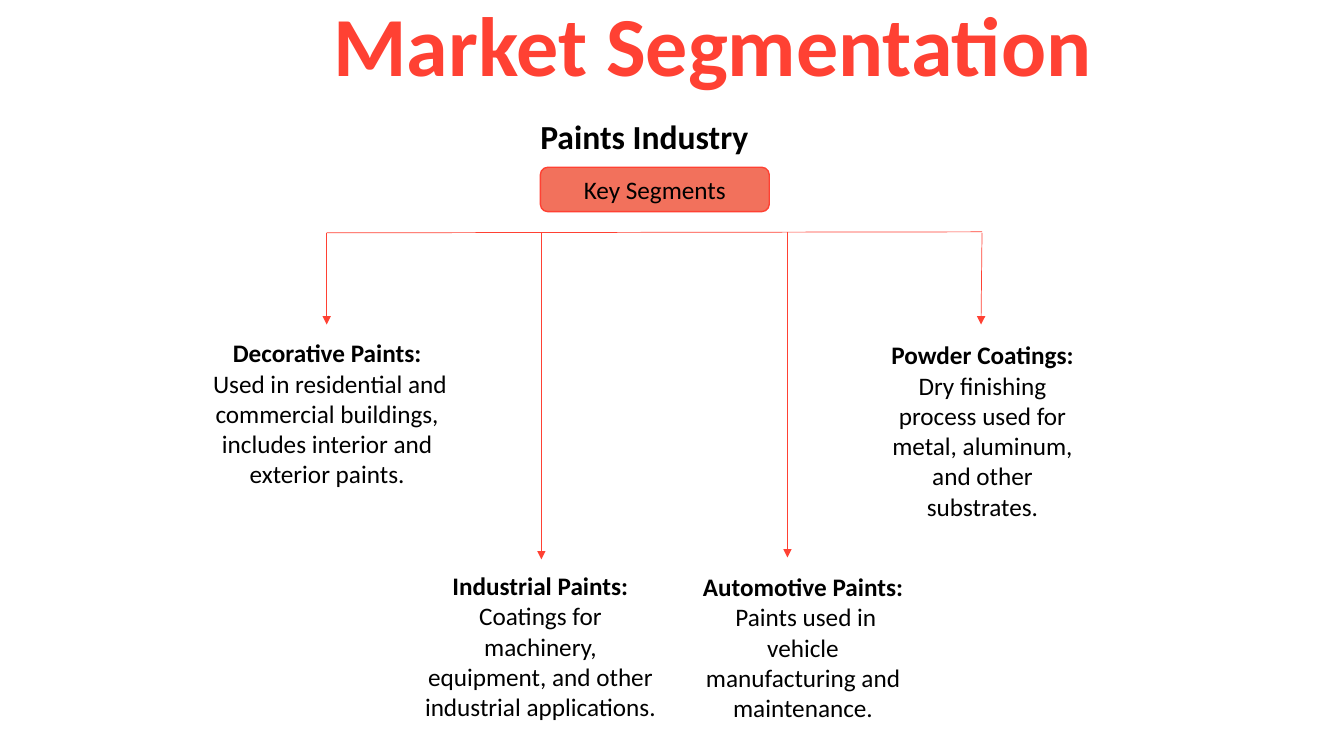
from lxml import etree
from pptx import Presentation
from pptx import util as u
from pptx.dml.color import RGBColor
from pptx.enum import shapes, text
from pptx.oxml import ns

RED = RGBColor(0xFF, 0x41, 0x33)
CORAL = RGBColor(0xF2, 0x71, 0x5C)
BLACK = RGBColor(0, 0, 0)
PX = 9144


class Board:
    font = "Calibri"

    def __init__(self, deck):
        self.slide = deck.slides.add_slide(deck.slide_layouts[6])

    def typeset(self, frame, paras, size, color=BLACK, align=text.PP_ALIGN.LEFT,
                anchor=text.MSO_ANCHOR.TOP, space=None):
        frame.word_wrap = True
        frame.vertical_anchor = anchor
        for i, runs in enumerate(paras):
            para = frame.add_paragraph() if i else frame.paragraphs[0]
            para.alignment = align
            para.line_spacing = space
            for words, bold in runs:
                run = para.add_run()
                run.text = words
                run.font.name = self.font
                run.font.size = u.Pt(size)
                run.font.bold = bold
                run.font.color.rgb = color

    def label(self, box, paras, size, **style):
        area = self.slide.shapes.add_textbox(*(n * PX for n in box))
        self.typeset(area.text_frame, paras, size, **style)

    def badge(self, box, words, size):
        shape = self.slide.shapes.add_shape(
            shapes.MSO_SHAPE.ROUNDED_RECTANGLE, *(n * PX for n in box))
        shape.shadow.inherit = False
        shape.fill.solid()
        shape.fill.fore_color.rgb = CORAL
        shape.line.color.rgb = RED
        shape.line.width = u.Pt(1)
        self.typeset(shape.text_frame, [[(words, False)]], size,
                     align=text.PP_ALIGN.CENTER, anchor=text.MSO_ANCHOR.MIDDLE)

    def line(self, ends, arrow=False):
        link = self.slide.shapes.add_connector(
            shapes.MSO_CONNECTOR.STRAIGHT, *(n * PX for n in ends))
        link.line.color.rgb = RED
        link.line.width = u.Pt(0.5)
        props = link.element.spPr
        if arrow:
            etree.SubElement(props.find(ns.qn("a:ln")), ns.qn("a:tailEnd"),
                             type="triangle")
        etree.SubElement(props, ns.qn("a:effectLst"))


SEGMENTS = [
    ((324, 231, 324, 322), (188, 330, 273, 162), True, "Decorative Paints:",
     " Used in residential and commercial buildings, includes interior and exterior paints."),
    ((537, 231, 537, 555), (410, 561, 252, 162), False, "Industrial Paints:",
     " Coatings for machinery, equipment, and other industrial applications."),
    ((781, 230, 781, 553), (683, 562, 227, 162), True, "Automotive Paints:",
     " Paints used in vehicle manufacturing and maintenance."),
    ((974, 231, 973, 322), (861, 332, 227, 192), False, "Powder Coatings:",
     " Dry finishing process used for metal, aluminum, and other substrates."),
]


def main():
    deck = Presentation()
    deck.slide_width = 1333 * PX
    deck.slide_height = 750 * PX
    board = Board(deck)
    board.label((321, 0, 803, 97), [[("Market Segmentation", True)]], 60,
                color=RED, anchor=text.MSO_ANCHOR.MIDDLE, space=0.9)
    board.label((526, 110, 282, 50), [[("Paints Industry", True)]], 24)
    board.badge((536, 166, 227, 44), "Key Segments", 18)
    board.line((324, 231, 974, 230))
    for ends, box, split, name, about in SEGMENTS:
        board.line(ends, arrow=True)
        head, body = (name, True), (about, False)
        paras = [[head], [body]] if split else [[head, body]]
        board.label(box, paras, 18, align=text.PP_ALIGN.CENTER)
    deck.save("out.pptx")


if __name__ == "__main__":
    main()
